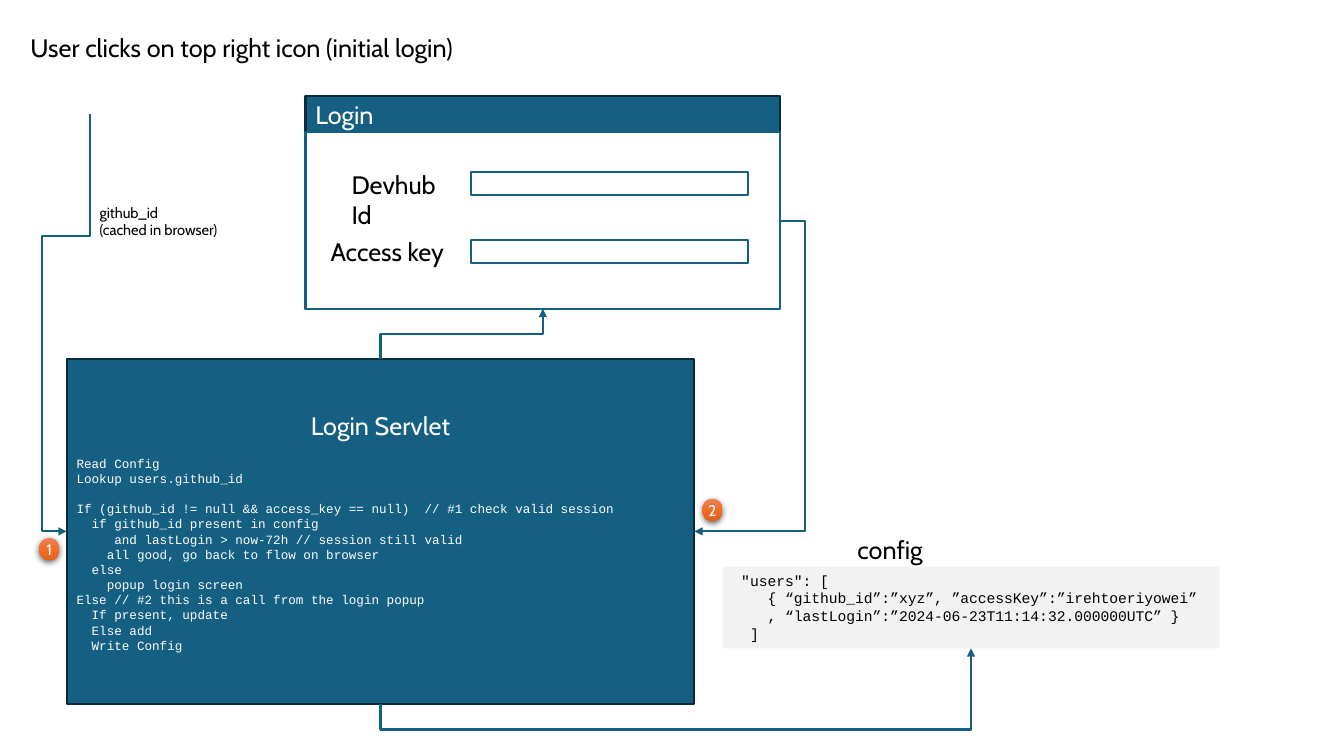
from lxml import etree
from pptx import Presentation
from pptx.dml.color import RGBColor
from pptx.enum.shapes import MSO_CONNECTOR, MSO_SHAPE
from pptx.enum.text import MSO_ANCHOR, PP_ALIGN
from pptx.oxml import parse_xml
from pptx.oxml.ns import nsdecls, qn
from pptx.util import Cm, Pt

COLORS = {
    "blue": "156082",
    "dark blue": "092A39",
    "white": "FFFFFF",
    "grey": "F2F2F2",
    "black": "000000",
    "orange top": "ED8257",
    "orange middle": "F26E29",
    "orange bottom": "E25F1A",
}
SANS, MONO = "Cabin", "Courier New"

presentation = Presentation()
presentation.slide_width, presentation.slide_height = Cm(33.87), Cm(19.05)
slide = presentation.slides.add_slide(presentation.slide_layouts[5])
shapes = slide.shapes


def add_box(kind, box, fill, line=None):
    shape = shapes.add_shape(kind, *map(Cm, box))
    shape.shadow.inherit = False
    shape.fill.solid()
    shape.fill.fore_color.rgb = RGBColor.from_string(COLORS[fill])
    if line:
        shape.line.color.rgb = RGBColor.from_string(COLORS[line])
        shape.line.width = Pt(1.5)
    else:
        shape.line.fill.background()
    return shape


def write(shape, text, size, color="black", font=SANS, align=PP_ALIGN.LEFT,
          anchor=MSO_ANCHOR.TOP, wrap=False):
    """Fill the shape with one paragraph for each line of text."""
    frame = shape.text_frame
    frame.text = text
    frame.word_wrap = wrap
    frame.vertical_anchor = anchor
    for paragraph in frame.paragraphs:
        paragraph.alignment = align
        paragraph.font.size = Pt(size)
        paragraph.font.name = font
        paragraph.font.color.rgb = RGBColor.from_string(COLORS[color])
    return frame


# Title
title = shapes.title
title.left, title.top, title.width, title.height = map(Cm, (0.51, 0.69, 11.61, 1.02))
write(title, "User clicks on top right icon (initial login)", 18)

# Login window
login_header = add_box(MSO_SHAPE.RECTANGLE, (7.7, 2.41, 11.96, 0.94), "blue", "dark blue")
write(login_header, "Login", 18, "white", anchor=MSO_ANCHOR.MIDDLE)
add_box(MSO_SHAPE.RECTANGLE, (7.7, 3.33, 11.96, 4.45), "white", "blue")
for field_top in (4.34, 6.05):
    add_box(MSO_SHAPE.RECTANGLE, (11.86, field_top, 6.99, 0.58), "white", "blue")

# Free labels
labels = [
    ("Devhub Id", (8.61, 4.14, 3.05, 1.02), 18),
    ("Access key", (8.08, 5.82, 3.58, 1.02), 18),
    ("config", (21.36, 13.34, 2.21, 1.02), 18),
    ("github_id\n(cached in browser)", (2.26, 5, 3.71, 1.14), 10.5),
]
for text, box, size in labels:
    write(shapes.add_textbox(*map(Cm, box)), text, size)

# Config file
config = add_box(MSO_SHAPE.RECTANGLE, (18.21, 14.28, 12.52, 2.06), "grey")
write(config, """ "users": [
    { “github_id”:”xyz”, ”accessKey”:”irehtoeriyowei”
    , “lastLogin”:”2024-06-23T11:14:32.000000UTC” }
  ]""", 10.5, font=MONO, wrap=True)

# Login servlet
servlet = add_box(MSO_SHAPE.RECTANGLE, (1.68, 9.04, 15.82, 8.71), "blue", "dark blue")
servlet_text = write(servlet, """Login Servlet
Read Config
Lookup users.github_id
If (github_id != null && access_key == null)  // #1 check valid session
  if github_id present in config
     and lastLogin > now-72h // session still valid
    all good, go back to flow on browser
  else
    popup login screen
Else // #2 this is a call from the login popup
  If present, update
  Else add
  Write Config""", 9, "white", MONO, anchor=MSO_ANCHOR.MIDDLE, wrap=True)
heading = servlet_text.paragraphs[0]
heading.alignment = PP_ALIGN.CENTER
heading.font.name, heading.font.size = SANS, Pt(18)
for block_start in (1, 3):
    servlet_text.paragraphs[block_start].space_before = Pt(10.8)

# Elbow arrows: start, end, quarter turn, bend positions
arrows = [
    ((2.26, 2.87), (1.68, 13.39), True, (29300, 209100)),
    ((19.66, 5.56), (17.5, 13.39), False, (-29400,)),
    ((9.59, 9.04), (13.68, 7.78), True, (50000,)),
    ((9.59, 17.75), (24.47, 16.34), True, (-44900,)),
]
for start, end, turned, bends in arrows:
    (x1, y1), (x2, y2) = start, end
    if turned:  # ends of the frame before it is rotated about its centre
        center_x, center_y = (x1 + x2) / 2, (y1 + y2) / 2
        half_x, half_y = (x2 - x1) / 2, (y2 - y1) / 2
        x1, x2 = center_x - half_y, center_x + half_y
        y1, y2 = center_y + half_x, center_y - half_x
    arrow = shapes.add_connector(MSO_CONNECTOR.ELBOW, Cm(x1), Cm(y1), Cm(x2), Cm(y2))
    arrow.line.color.rgb = RGBColor.from_string(COLORS["blue"])
    arrow.line.width = Pt(1.5)
    properties = arrow._element.spPr
    if turned:
        properties.find(qn("a:xfrm")).set("rot", "5400000")
    geometry = properties.find(qn("a:prstGeom"))
    geometry.set("prst", f"bentConnector{len(bends) + 2}")
    adjustments = geometry.find(qn("a:avLst"))
    for number, bend in enumerate(bends, 1):
        etree.SubElement(adjustments, qn("a:gd"), name=f"adj{number}", fmla=f"val {bend}")
    etree.SubElement(properties.find(qn("a:ln")), qn("a:tailEnd"), type="triangle")
    etree.SubElement(properties, qn("a:effectLst"))

# Numbered badges
stops = "".join(
    f'<a:gs pos="{position}"><a:srgbClr val="{COLORS[name]}"/></a:gs>'
    for position, name in ((0, "orange top"), (50000, "orange middle"), (100000, "orange bottom"))
)
for number, left, top in (("1", 0.99, 13.56), ("2", 17.7, 12.57)):
    badge = add_box(MSO_SHAPE.OVAL, (left, top, 0.51, 0.56), "orange middle")
    frame = write(badge, number, 11, "white", align=PP_ALIGN.CENTER, anchor=MSO_ANCHOR.MIDDLE)
    frame.margin_left = frame.margin_right = frame.margin_top = frame.margin_bottom = 0
    properties = badge._element.spPr
    properties.replace(properties.find(qn("a:solidFill")), parse_xml(
        f'<a:gradFill {nsdecls("a")}><a:gsLst>{stops}</a:gsLst>'
        '<a:lin ang="5400000" scaled="0"/></a:gradFill>'))
    properties.replace(properties.find(qn("a:effectLst")), parse_xml(
        f'<a:effectLst {nsdecls("a")}><a:outerShdw blurRad="57150" dist="19050" dir="5400000">'
        f'<a:srgbClr val="{COLORS["black"]}"><a:alpha val="63000"/></a:srgbClr>'
        '</a:outerShdw></a:effectLst>'))

presentation.save("out.pptx")
